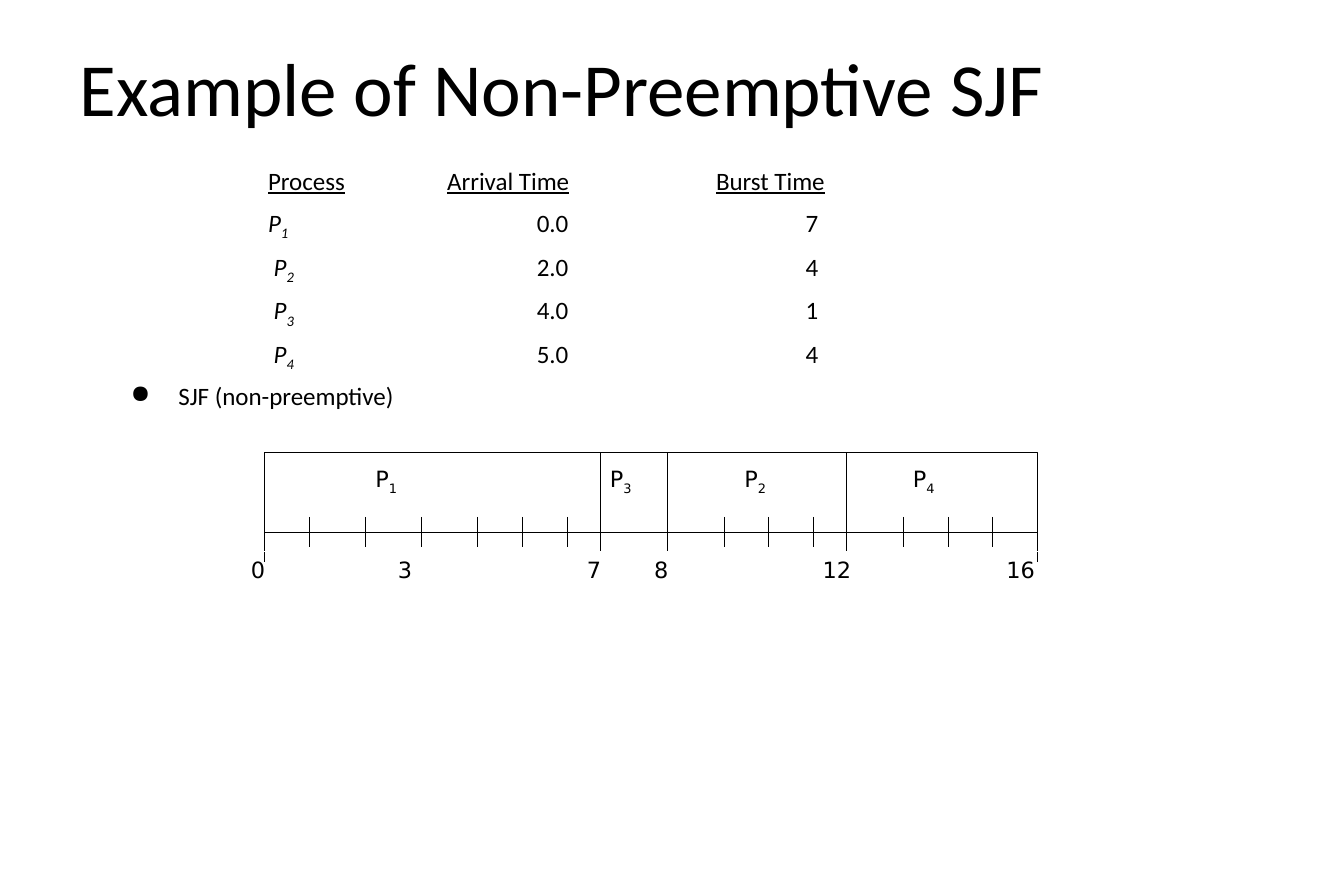
"""Build the slide on non-preemptive shortest-job-first scheduling."""
from lxml import etree
from pptx import Presentation
from pptx.dml.color import RGBColor
from pptx.enum.shapes import MSO_CONNECTOR, MSO_SHAPE
from pptx.enum.text import MSO_ANCHOR, PP_ALIGN
from pptx.oxml.ns import qn
from pptx.util import Pt

LINE = MSO_CONNECTOR.STRAIGHT
RECT = MSO_SHAPE.RECTANGLE
MIDDLE = MSO_ANCHOR.MIDDLE
CENTER = PP_ALIGN.CENTER
COLORS = {"ink": "000000", "paper": "FFFFFF"}
INK = RGBColor.from_string(COLORS["ink"])
PAPER = RGBColor.from_string(COLORS["paper"])

deck = Presentation()
deck.slide_width, deck.slide_height = Pt(1080), Pt(720)
slide = deck.slides.add_slide(deck.slide_layouts[6])
shapes = slide.shapes


def add_run(para, text, size, font="Calibri", under=False, slant=False, sub=False):
    run = para.add_run()
    run.text = text
    run.font.size, run.font.name = Pt(size), font
    run.font.underline, run.font.italic = under, slant
    run.font.color.rgb = INK
    if sub:
        run.font._element.set("baseline", "-25000")


def add_rect(left, top, width, height, edge, filled=True):
    rect = shapes.add_shape(RECT, Pt(left), Pt(top), Pt(width), Pt(height))
    rect.shadow.inherit = False
    if filled:
        rect.fill.solid()
        rect.fill.fore_color.rgb = PAPER
    else:
        rect.fill.background()
    rect.line.color.rgb, rect.line.width = edge, Pt(0.75)
    frame = rect.text_frame
    frame.word_wrap, frame.vertical_anchor = False, MIDDLE
    frame.paragraphs[0].alignment = CENTER
    return frame.paragraphs[0]


frames = []
for left, top, width, height in ((95, 129.6, 662.4, 198), (54, 28.8, 972, 81.4)):
    frame = shapes.add_textbox(Pt(left), Pt(top), Pt(width), Pt(height)).text_frame
    frame.word_wrap = True
    frame.margin_left = frame.margin_right = Pt(10)
    frame.margin_top = frame.margin_bottom = Pt(5)
    frames.append(frame)
body, title = frames

title.vertical_anchor = MIDDLE
add_run(title.paragraphs[0], "Example of Non-Preemptive SJF", 60.3)

paras = [body.paragraphs[0]] + [body.add_paragraph() for _ in range(5)]
for num, para in enumerate(paras):
    para.line_spacing = 0.95
    para.space_before = Pt(9.1 if num else 0)
    props = para._p.get_or_add_pPr()
    props.set("marL", str(Pt(38.4)))
    props.set("indent", str(Pt(-38.4)))
    props.set("defTabSz", str(Pt(72)))

for head in ("Process", "Arrival Time", "Burst Time"):
    add_run(paras[0], "\t\t", 20.1)
    add_run(paras[0], head, 20.1, under=True)

tasks = [("0.0", 7), ("2.0", 4), ("4.0", 1), ("5.0", 4)]
for num, (start, burst) in enumerate(tasks, 1):
    para = paras[num]
    add_run(para, "\t\t" if num == 1 else "\t\t ", 20.1)
    add_run(para, "P", 20.1, slant=True)
    add_run(para, str(num), 20.1, slant=True, sub=True)
    add_run(para, f"\t\t\t{start}\t\t\t{burst}", 20.1)

add_run(paras[5], "SJF (non-preemptive)", 20.1)
props = paras[5]._p.get_or_add_pPr()
color = etree.SubElement(props, qn("a:buClr"))
etree.SubElement(color, qn("a:srgbClr"), val=COLORS["ink"])
etree.SubElement(props, qn("a:buChar"), char="●")

add_rect(212.4, 363.6, 621, 64, INK)
for num, left in ((1, 293.8), (3, 482.4), (2, 590.4), (4, 725.8)):
    para = add_rect(left, 371.5, 33, 29, PAPER, num != 1)
    add_run(para, "P", 18, "DejaVu Sans")
    add_run(para, str(num), 18, "DejaVu Sans", sub=True)

minor = [248.4, 293.8, 338.4, 383.8, 419.8, 455.8,
         581.8, 617.8, 653.8, 725.8, 761.8, 797.8]
splits = [482.4, 536.4, 680.4]
lines = [(x, 415.4, 439.2) for x in minor]
lines += [(x, 363.6, 451.4) for x in splits]
lines += [(x, 427.6, 451.4) for x in (212.4, 833.4)]
for x, top, end in lines:
    tick = shapes.add_connector(LINE, Pt(x), Pt(top), Pt(x), Pt(end))
    tick.line.color.rgb, tick.line.width = INK, Pt(0.75)
    etree.SubElement(tick._element.spPr, qn("a:effectLst"))

times = [(0, 194.4), (3, 312.5), (7, 464.4), (8, 518.4), (12, 653.8), (16, 801.4)]
for time, left in times:
    width = 26 if time < 10 else 37.4
    para = add_rect(left, 443.5, width, 29, PAPER, time in (7, 8, 12))
    add_run(para, str(time), 18, "DejaVu Sans")

deck.save("out.pptx")
